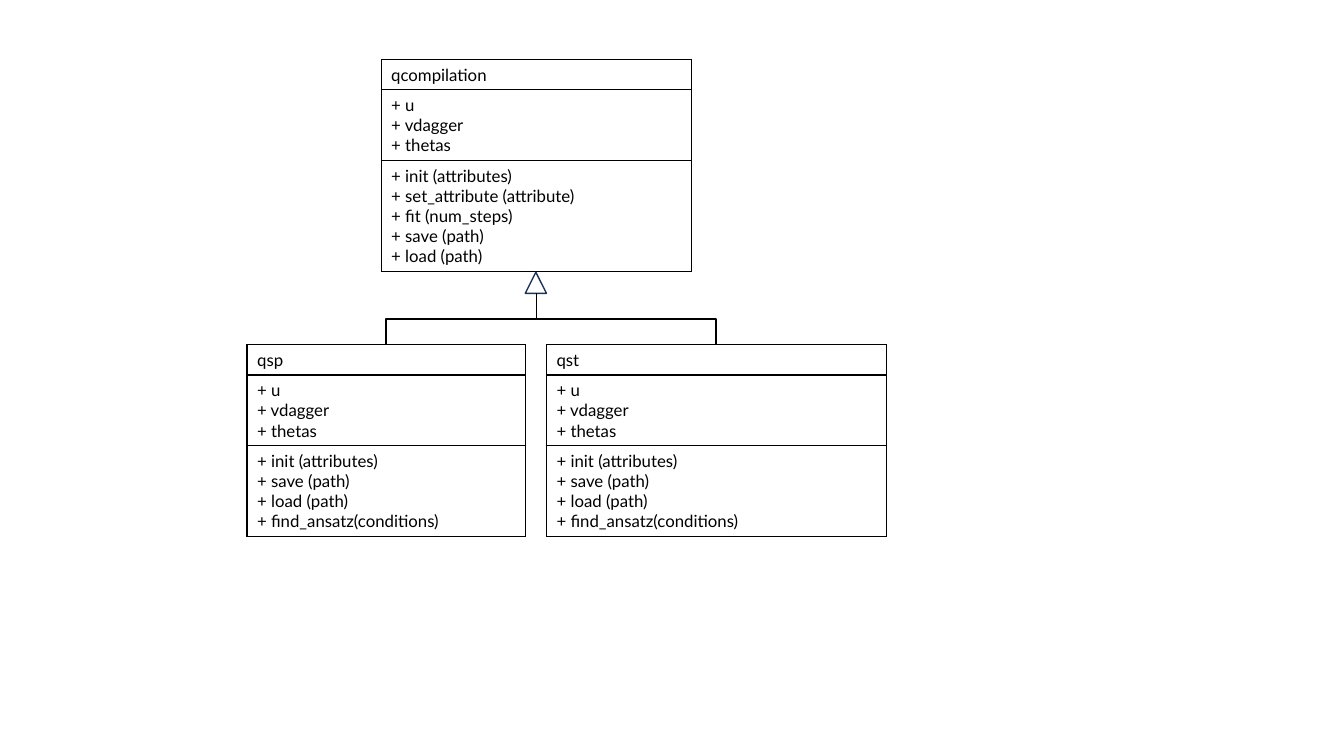
from dataclasses import dataclass

from lxml.etree import SubElement
from pptx import Presentation
from pptx.dml.color import RGBColor
from pptx.enum.shapes import MSO_CONNECTOR as CONN, MSO_SHAPE as SHAPE
from pptx.oxml.ns import qn
from pptx.util import Emu, Pt

BLACK = RGBColor(0x00, 0x00, 0x00)
WHITE = RGBColor(0xFF, 0xFF, 0xFF)
NAVY = RGBColor(0x1E, 0x32, 0x56)
FONT = "Lato"
EMU_PER_PX = 9144  # 100 px to the inch
LINE_H, ROW_PAD = 20, 10


@dataclass(frozen=True)
class UmlClass:
    left: int
    top: int
    width: int
    name: str
    methods: tuple[str, ...]
    attributes: tuple[str, ...] = ("+ u", "+ vdagger", "+ thetas")


SUB_METHODS = ("+ init (attributes)", "+ save (path)", "+ load (path)",
               "+ find_ansatz(conditions)")
CLASSES = (
    UmlClass(378, 59, 308, "qcompilation",
             ("+ init (attributes)", "+ set_attribute (attribute)",
              "+ fit (num_steps)", "+ save (path)", "+ load (path)")),
    UmlClass(245, 342, 276, "qsp", SUB_METHODS),
    UmlClass(542, 342, 337, "qst", SUB_METHODS),
)


def px(n: float) -> Emu:
    return Emu(round(n * EMU_PER_PX))


def write(tf, text: str, *, size: int = 12, color: RGBColor = BLACK) -> None:
    for i, line in enumerate(text.split("\n")):
        p = tf.add_paragraph() if i else tf.paragraphs[0]
        r = p.add_run()
        r.text = line
        r.font.name = FONT
        r.font.size = Pt(size)
        r.font.color.rgb = color


def add_borders(cell) -> None:
    tc_pr = cell._tc.get_or_add_tcPr()
    for side in ("a:lnL", "a:lnR", "a:lnT", "a:lnB"):
        ln = SubElement(tc_pr, qn(side), w=str(Pt(1)))
        fill = SubElement(ln, qn("a:solidFill"))
        SubElement(fill, qn("a:srgbClr"), val=str(BLACK))


def add_class(slide, uml: UmlClass) -> None:
    parts = ((uml.name,), uml.attributes, uml.methods)
    heights = [ROW_PAD + LINE_H * len(lines) for lines in parts]
    table = slide.shapes.add_table(
        len(parts), 1, px(uml.left), px(uml.top), px(uml.width), px(sum(heights))).table
    table.first_row = table.horz_banding = False
    for i, (lines, height) in enumerate(zip(parts, heights)):
        table.rows[i].height = px(height)
        cell = table.cell(i, 0)
        add_borders(cell)
        cell.fill.background()
        write(cell.text_frame, "\n".join(lines))


def add_branch(slide, x1: int, y1: int, x2: int, y2: int) -> None:
    """Elbow that leaves and arrives vertically: a turned horizontal elbow."""
    cx, cy = (x1 + x2) / 2, (y1 + y2) / 2
    to_left = x2 < x1
    dx = (y2 - y1) / 2 * (1 if to_left else -1)
    dy = abs(x2 - x1) / 2
    s = slide.shapes.add_connector(
        CONN.ELBOW, px(cx - dx), px(cy - dy), px(cx + dx), px(cy + dy))
    sp_pr = s._element.spPr
    sp_pr.find(qn("a:xfrm")).set("rot", str((90 if to_left else 270) * 60000))
    s.line.color.rgb = BLACK
    s.line.width = Pt(1)
    SubElement(sp_pr, qn("a:effectLst"))


def add_arrowhead(slide, left: int, top: int, size: int) -> None:
    s = slide.shapes.add_shape(
        SHAPE.ISOSCELES_TRIANGLE, px(left), px(top), px(size), px(size))
    s.shadow.inherit = False
    s.fill.solid()
    s.fill.fore_color.rgb = WHITE
    s.line.color.rgb = NAVY
    s.line.width = Pt(1)


def main() -> None:
    prs = Presentation()
    prs.slide_width, prs.slide_height = px(1333), px(750)
    slide = prs.slides.add_slide(prs.slide_layouts[6])

    # Class boxes
    for uml in CLASSES:
        add_class(slide, uml)

    # Inheritance arrow with one branch per subclass
    parent, *subclasses = CLASSES
    stem_x, head_top, head_size = parent.left + parent.width // 2, 270, 21
    add_arrowhead(slide, stem_x - head_size // 2 - 1, head_top, head_size)
    for uml in subclasses:
        add_branch(slide, stem_x, head_top + head_size,
                   uml.left + uml.width // 2, uml.top)

    prs.save("out.pptx")


if __name__ == "__main__":
    main()
